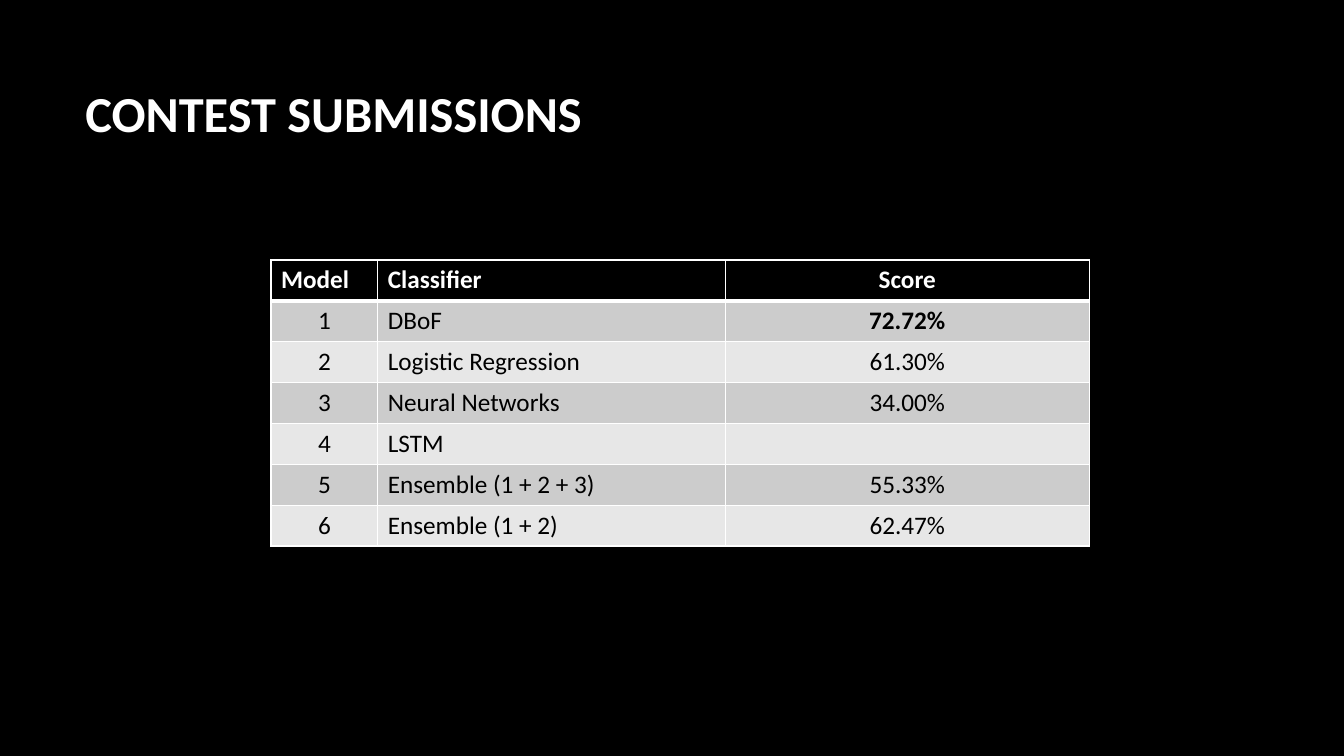
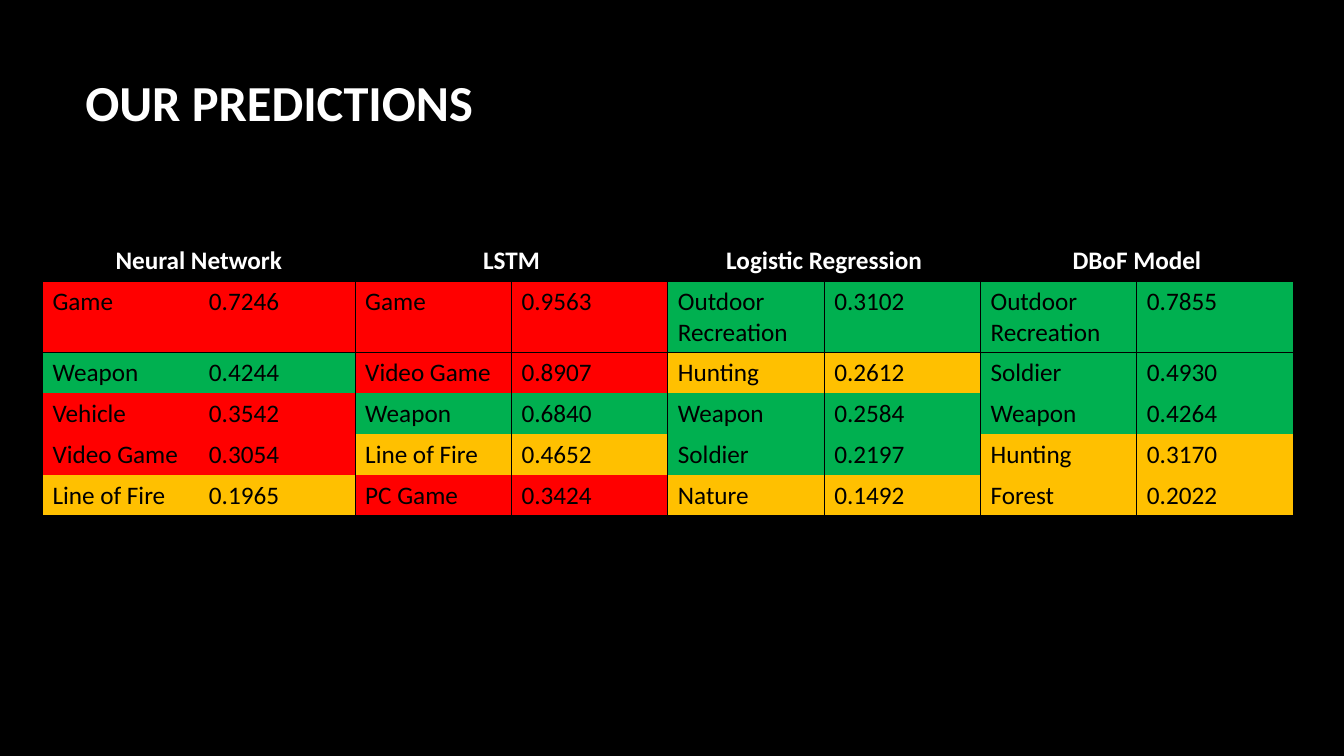
from dataclasses import dataclass

from lxml import etree
from pptx import Presentation
from pptx.dml.color import RGBColor
from pptx.enum import text as t
from pptx.oxml import ns
from pptx.util import Cm, Pt


@dataclass(frozen=True)
class Theme:
    font: str = "Calibri"
    title_size: int = 36
    body_size: int = 18
    dark: str = "000000"
    light: str = "FFFFFF"
    bands: tuple = ("CCCCCC", "E7E7E7")
    right: str = "00B050"
    close: str = "FFC000"
    wrong: str = "FF0000"
    rule: int = 1
    heavy_rule: int = 3


@dataclass(frozen=True)
class Box:
    """A region of the slide, in centimetres."""
    left: float
    top: float
    width: float
    height: float

    def lengths(self):
        return [Cm(side) for side in (self.left, self.top, self.width, self.height)]


THEME = Theme()
PLAIN_TABLE = "{2D5ABB26-0587-4C30-8999-92F81FD0307C}"
LEFT, CENTER = t.PP_ALIGN.LEFT, t.PP_ALIGN.CENTER

SUBMISSIONS = [
    ("Model", "Classifier", "Score"),
    ("1", "DBoF", "72.72%"),
    ("2", "Logistic Regression", "61.30%"),
    ("3", "Neural Networks", "34.00%"),
    ("4", "LSTM", ""),
    ("5", "Ensemble (1 + 2 + 3)", "55.33%"),
    ("6", "Ensemble (1 + 2)", "62.47%"),
]
BEST_SCORE = "72.72%"

PREDICTIONS = {
    "Neural Network": [("Game", "0.7246"), ("Weapon", "0.4244"), ("Vehicle", "0.3542"),
                       ("Video Game", "0.3054"), ("Line of Fire", "0.1965")],
    "LSTM": [("Game", "0.9563"), ("Video Game", "0.8907"), ("Weapon", "0.6840"),
             ("Line of Fire", "0.4652"), ("PC Game", "0.3424")],
    "Logistic Regression": [("Outdoor Recreation", "0.3102"), ("Hunting", "0.2612"),
                            ("Weapon", "0.2584"), ("Soldier", "0.2197"), ("Nature", "0.1492")],
    "DBoF Model": [("Outdoor Recreation", "0.7855"), ("Soldier", "0.4930"),
                   ("Weapon", "0.4264"), ("Hunting", "0.3170"), ("Forest", "0.2022")],
}
RIGHT_LABELS = {"Outdoor Recreation", "Soldier", "Weapon"}
CLOSE_LABELS = {"Hunting", "Nature", "Forest", "Line of Fire"}


def verdict_color(label):
    if label in RIGHT_LABELS:
        return THEME.right
    return THEME.close if label in CLOSE_LABELS else THEME.wrong


def write(frame, text, size=THEME.body_size, color=THEME.dark, bold=False, align=LEFT):
    para = frame.paragraphs[0]
    para.alignment = align
    para.font.size = Pt(size)
    if not text:
        return
    span = para.add_run()
    span.text = text
    span.font.name = THEME.font
    span.font.size = Pt(size)
    span.font.bold = bold
    span.font.color.rgb = RGBColor.from_string(color)


def add_borders(cell, color, **widths):
    """Draw the sides named L, R, T and B, with widths in points."""
    props = cell._tc.get_or_add_tcPr()
    for side in "LRTB":
        if side in widths:
            line = etree.SubElement(props, ns.qn(f"a:ln{side}"), w=str(Pt(widths[side])))
            fill = etree.SubElement(line, ns.qn("a:solidFill"))
            etree.SubElement(fill, ns.qn("a:srgbClr"), val=color)


def fill_cell(cell, color):
    cell.fill.solid()
    cell.fill.fore_color.rgb = RGBColor.from_string(color)


def add_page(deck, title, title_box):
    page = deck.slides.add_slide(deck.slide_layouts[6])
    page.background.fill.solid()
    page.background.fill.fore_color.rgb = RGBColor.from_string(THEME.dark)
    frame = page.shapes.add_textbox(*title_box.lengths()).text_frame
    frame.word_wrap = True
    frame.vertical_anchor = t.MSO_ANCHOR.MIDDLE
    write(frame, title, size=THEME.title_size, color=THEME.light, bold=True)
    return page


def add_plain_table(page, box, row_count, shares):
    """Add an unstyled table whose columns divide the box by the given shares."""
    holder = page.shapes.add_table(row_count, len(shares), *box.lengths())
    for style in holder.element.iter(ns.qn("a:tableStyleId")):
        style.text = PLAIN_TABLE
    table = holder.table
    table.first_row = table.horz_banding = False
    for column, share in zip(table.columns, shares):
        column.width = Cm(box.width * share / sum(shares))
    return table


def add_submissions(page, box):
    table = add_plain_table(page, box, len(SUBMISSIONS), (1.06, 3.45, 3.61))
    for row, values in enumerate(SUBMISSIONS):
        header = row == 0
        for column, value in enumerate(values):
            cell = table.cell(row, column)
            # The heavy rule parts the header from the body
            add_borders(cell, THEME.light, L=THEME.rule, R=THEME.rule,
                        T=THEME.heavy_rule if row == 1 else THEME.rule,
                        B=THEME.heavy_rule if header else THEME.rule)
            fill_cell(cell, THEME.dark if header else THEME.bands[(row - 1) % 2])
            centered = column == 2 or (column == 0 and not header)
            write(cell.text_frame, value, bold=header or value == BEST_SCORE,
                  color=THEME.light if header else THEME.dark,
                  align=CENTER if centered else LEFT)


def add_predictions(page, box):
    row_count = 1 + max(map(len, PREDICTIONS.values()))
    table = add_plain_table(page, box, row_count, [1] * (2 * len(PREDICTIONS)))
    for group, (model, guesses) in enumerate(PREDICTIONS.items()):
        first = 2 * group
        # Model name over both columns of its group
        header = table.cell(0, first)
        header.merge(table.cell(0, first + 1))
        header.vertical_anchor = t.MSO_ANCHOR.MIDDLE
        for column in (first, first + 1):
            cell = table.cell(0, column)
            add_borders(cell, THEME.dark, **dict.fromkeys("LRTB", THEME.rule))
            fill_cell(cell, THEME.dark)
        write(header.text_frame, model, color=THEME.light, bold=True, align=CENTER)
        # Labels and scores, ruled around the group
        for row, guess in enumerate(guesses, 1):
            for offset, value in enumerate(guess):
                cell = table.cell(row, first + offset)
                sides = "LR"[offset] + "T" * (row == 1) + "B" * (row == row_count - 1)
                add_borders(cell, THEME.dark, **dict.fromkeys(sides, THEME.rule))
                fill_cell(cell, verdict_color(guess[0]))
                write(cell.text_frame, value)


def main():
    deck = Presentation()
    deck.slide_width, deck.slide_height = Cm(33.87), Cm(19.05)

    page = add_page(deck, "CONTEST SUBMISSIONS", Box(1.9, 1.7, 28.14, 2.24))
    add_submissions(page, Box(6.83, 6.55, 20.62, 7.21))

    page = add_page(deck, "OUR PREDICTIONS", Box(1.9, 0.53, 28.14, 4.04))
    add_predictions(page, Box(1.07, 6.07, 31.52, 6.18))

    deck.save("out.pptx")


if __name__ == "__main__":
    main()
